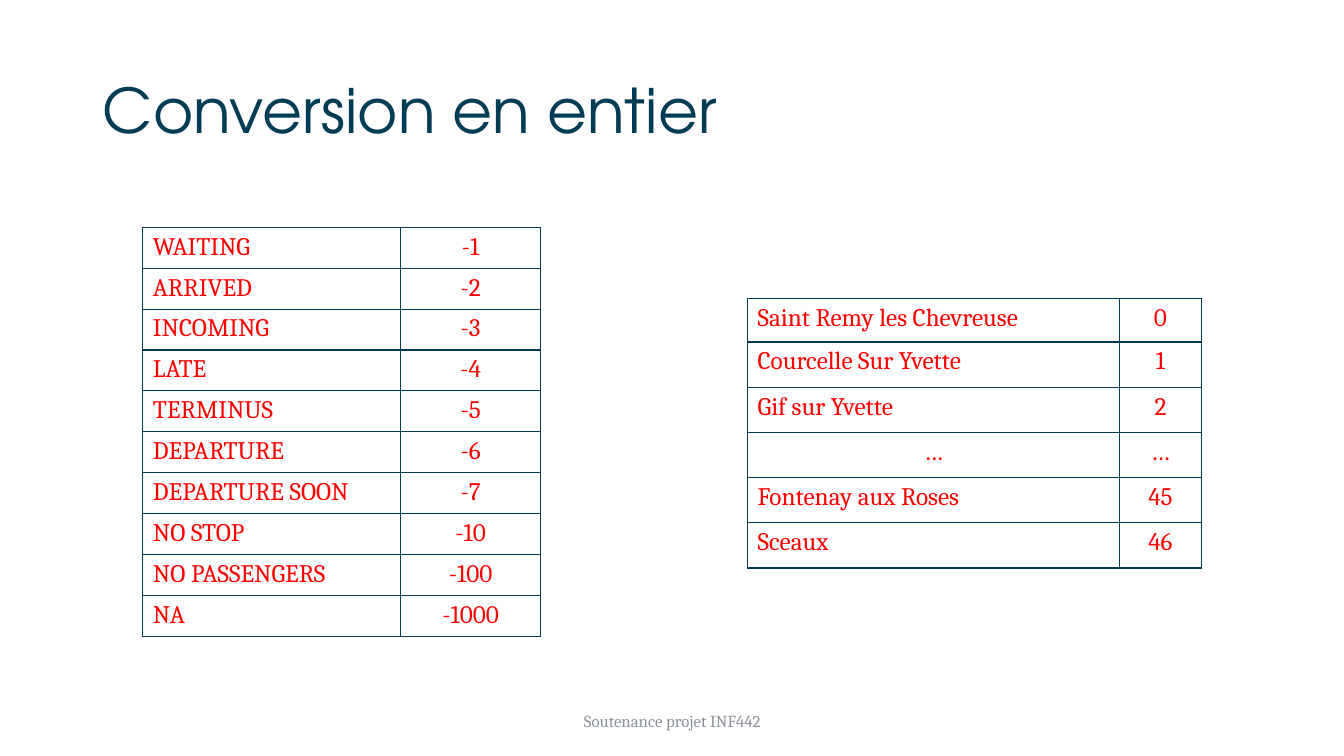
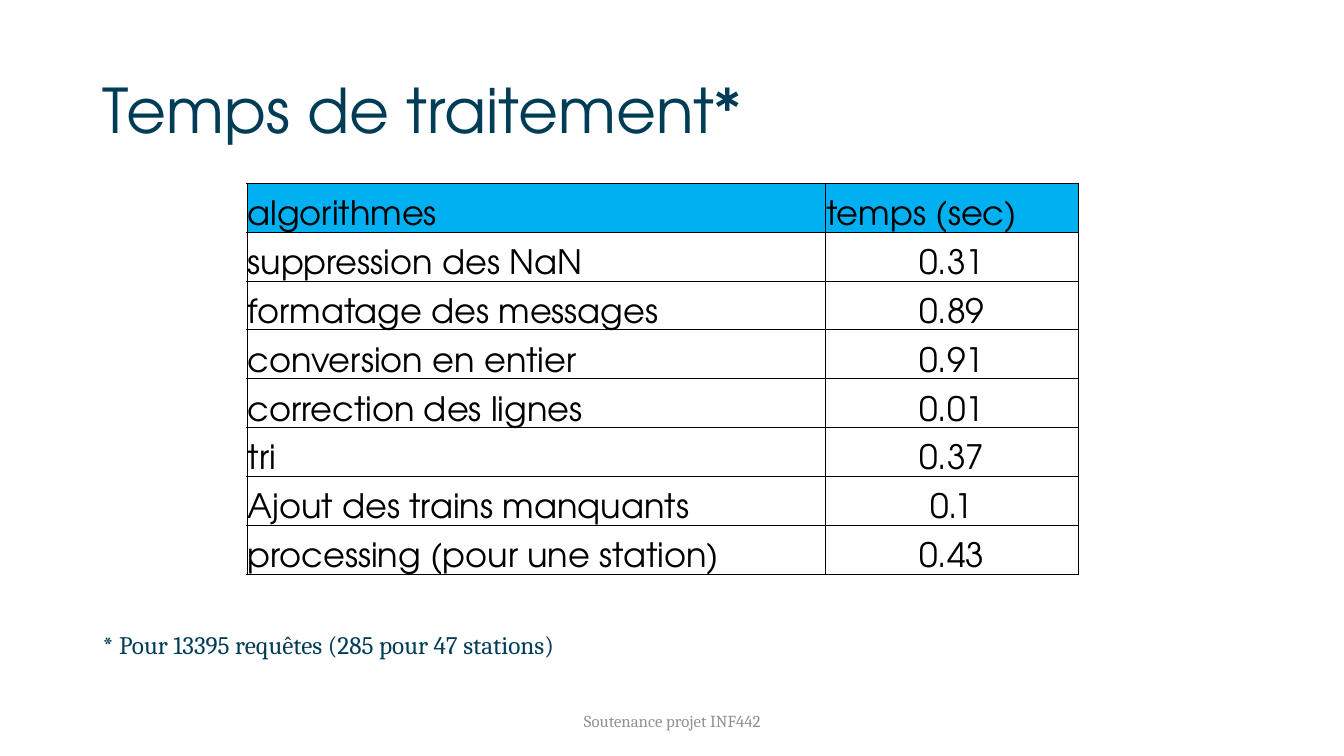
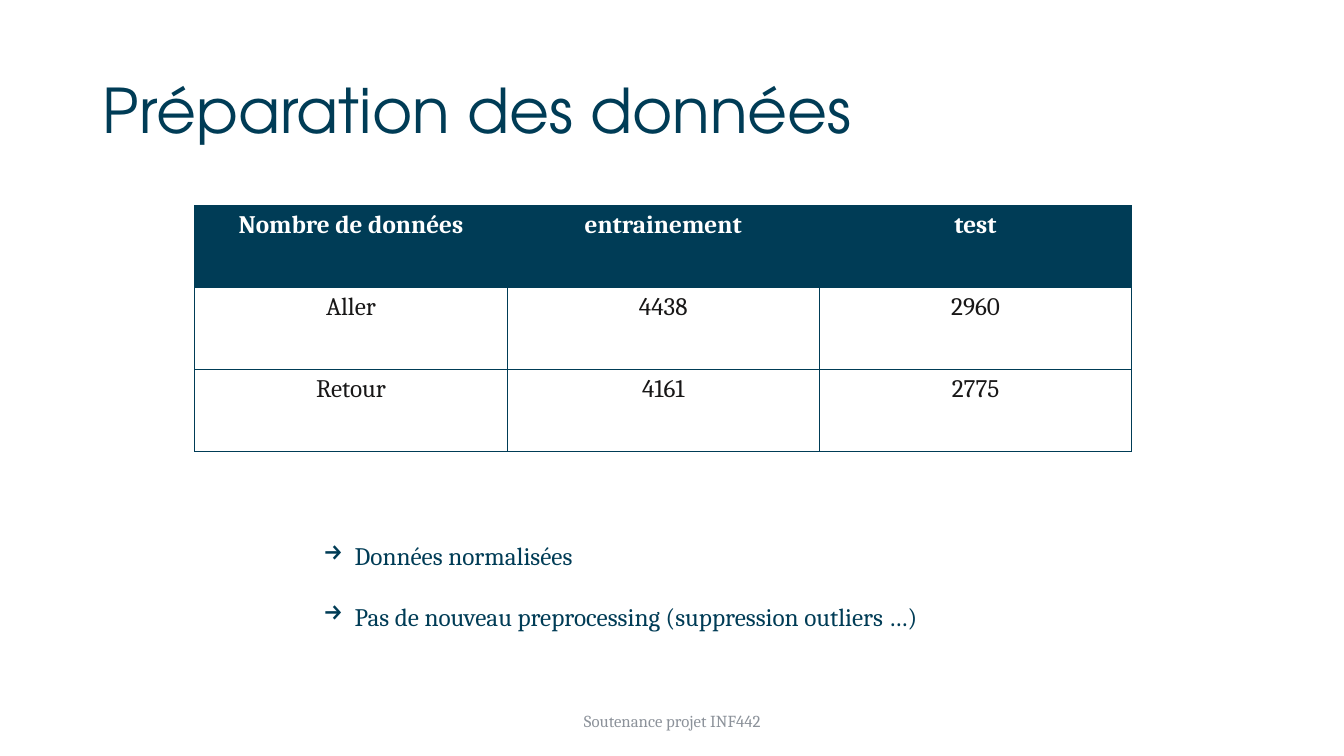
"""Builds three slides on data conversion, processing time and preparation."""
from lxml import etree
from pptx import Presentation
from pptx import util as u
from pptx.dml.color import RGBColor
from pptx.enum import text
from pptx.oxml.ns import qn

NAVY, RED, GREY, BLACK, INK = "003C56", "FF0000", "8C929A", "000000", "181717"
WHITE, SKY = "FFFFFF", "00B0F0"
SERIF, GEOMETRIC = "Cambria", "TeX Gyre Adventor"
LEFT, CENTER = text.PP_ALIGN.LEFT, text.PP_ALIGN.CENTER
TOP, MIDDLE, BOTTOM = text.MSO_ANCHOR.TOP, text.MSO_ANCHOR.MIDDLE, text.MSO_ANCHOR.BOTTOM


def rgb(color):
    return RGBColor.from_string(color)


class Deck:
    def __init__(self):
        self.prs = Presentation()
        self.prs.slide_width, self.prs.slide_height = u.Cm(33.87), u.Cm(19.05)
        self.slide = None

    def add_words(self, paragraph, words, size=18, font=SERIF, color=NAVY, bold=False,
                  align=LEFT, spacing=None):
        paragraph.alignment = align
        if spacing:
            paragraph.line_spacing = spacing
        run = paragraph.add_run()
        run.text = words
        run.font.size, run.font.name, run.font.bold = u.Pt(size), font, bold
        run.font.color.rgb = rgb(color)

    def new_slide(self, heading):
        self.slide = self.prs.slides.add_slide(self.prs.slide_layouts[5])
        title = self.slide.shapes.title
        title.left, title.top = u.Cm(2.34), u.Cm(1.02)
        title.width, title.height = u.Cm(29.21), u.Cm(3.68)
        frame = title.text_frame
        frame.vertical_anchor, frame.auto_size = MIDDLE, text.MSO_AUTO_SIZE.NONE
        self.add_words(frame.paragraphs[0], heading, 44, GEOMETRIC, spacing=0.9)
        footer = self.text_box(11.23, 17.65, 11.43, 1.02)
        footer.vertical_anchor = MIDDLE
        self.add_words(footer.paragraphs[0], "Soutenance projet INF442", 12,
                       color=GREY, align=CENTER)

    def text_box(self, left, top, width, height, wrap=True):
        frame = self.slide.shapes.add_textbox(*map(u.Cm, (left, top, width, height))).text_frame
        frame.word_wrap = wrap
        return frame

    def note(self, words, left, top, width, height):
        frame = self.text_box(left, top, width, height, wrap=False)
        frame.auto_size = text.MSO_AUTO_SIZE.SHAPE_TO_FIT_TEXT
        self.add_words(frame.paragraphs[0], words, spacing=2.0)

    def arrow_list(self, items, left, top, width, height):
        frame = self.text_box(left, top, width, height)
        frame.auto_size = text.MSO_AUTO_SIZE.SHAPE_TO_FIT_TEXT
        for i, item in enumerate(items):
            paragraph = frame.add_paragraph() if i else frame.paragraphs[0]
            self.add_words(paragraph, item, spacing=2.0)
            props = paragraph._p.get_or_add_pPr()
            props.set("marL", str(u.Cm(0.79)))
            props.set("indent", str(-u.Cm(0.79)))
            etree.SubElement(props, qn("a:buChar"), char="→")

    def border(self, cell, color, weight):
        props = cell._tc.get_or_add_tcPr()
        for side in ("lnL", "lnR", "lnT", "lnB"):
            line = etree.SubElement(props, qn(f"a:{side}"), w=str(u.Pt(weight)))
            fill = etree.SubElement(line, qn("a:solidFill"))
            etree.SubElement(fill, qn("a:srgbClr"), val=color)

    def table(self, rows, left, top, widths, heights, line=NAVY, weight=1, fill=None,
              head_fill=None, head_style=None, centered=False, tight=False, **style):
        """Draws a grid; cells without letters are centred, as are all if asked."""
        grid = self.slide.shapes.add_table(
            len(rows), len(widths), u.Cm(left), u.Cm(top),
            u.Cm(sum(widths)), u.Cm(sum(heights))).table
        grid.first_row = grid.horz_banding = False
        for column, width in zip(grid.columns, widths):
            column.width = u.Cm(width)
        for r, (values, height) in enumerate(zip(rows, heights)):
            grid.rows[r].height = u.Cm(height)
            is_head = r == 0 and head_fill is not None
            paint = head_fill if is_head else fill
            look = {**style, **(head_style or {})} if is_head else style
            for c, value in enumerate(values):
                cell = grid.cell(r, c)
                self.border(cell, line, weight)
                if paint:
                    cell.fill.solid()
                    cell.fill.fore_color.rgb = rgb(paint)
                else:
                    cell.fill.background()
                cell.vertical_anchor = BOTTOM if tight else TOP
                if tight:
                    cell.margin_left = cell.margin_right = cell.margin_top = u.Cm(0.02)
                    cell.margin_bottom = 0
                wordless = not any(map(str.isalpha, value))
                self.add_words(cell.text_frame.paragraphs[0], value,
                               align=CENTER if centered or wordless else LEFT, **look)


def main():
    deck = Deck()

    deck.new_slide("Conversion en entier")
    states = [("WAITING", "-1"), ("ARRIVED", "-2"), ("INCOMING", "-3"), ("LATE", "-4"),
              ("TERMINUS", "-5"), ("DEPARTURE", "-6"), ("DEPARTURE SOON", "-7"),
              ("NO STOP", "-10"), ("NO PASSENGERS", "-100"), ("NA", "-1000")]
    deck.table(states, 3.6, 5.73, [6.49, 3.54], [1.03] * 10, fill=WHITE, color=RED)
    stations = [("Saint Remy les Chevreuse", "0"), ("Courcelle Sur Yvette", "1"),
                ("Gif sur Yvette", "2"), ("…", "…"), ("Fontenay aux Roses", "45"),
                ("Sceaux", "46")]
    deck.table(stations, 18.84, 7.53, [9.38, 2.05], [1.09] + [1.14] * 5, fill=WHITE, color=RED)

    deck.new_slide("Temps de traitement*")
    timings = [("algorithmes", "temps (sec)"), ("suppression des NaN", "0.31"),
               ("formatage des messages", "0.89"), ("conversion en entier", "0.91"),
               ("correction des lignes", "0.01"), ("tri", "0.37"),
               ("Ajout des trains manquants", "0.1"), ("processing (pour une station)", "0.43")]
    deck.table(timings, 6.22, 4.62, [14.58, 6.38], [1.23] * 8, line=BLACK, weight=0.5,
               head_fill=SKY, tight=True, size=24, font=GEOMETRIC, color=BLACK)
    deck.note("* Pour 13395 requêtes (285 pour 47 stations)", 2.34, 14.96, 13.21, 1.55)

    deck.new_slide("Préparation des données")
    samples = [("Nombre de données", "entrainement", "test"),
               ("Aller", "4438", "2960"), ("Retour", "4161", "2775")]
    deck.table(samples, 4.91, 5.19, [7.87] * 3, [2.06] * 3, head_fill=NAVY,
               head_style={"color": WHITE, "bold": True}, centered=True, color=INK)
    deck.arrow_list(["Données normalisées",
                     "Pas de nouveau preprocessing (suppression outliers …)"],
                    7.9, 12.73, 19.69, 3.1)

    deck.prs.save("out.pptx")


if __name__ == "__main__":
    main()
